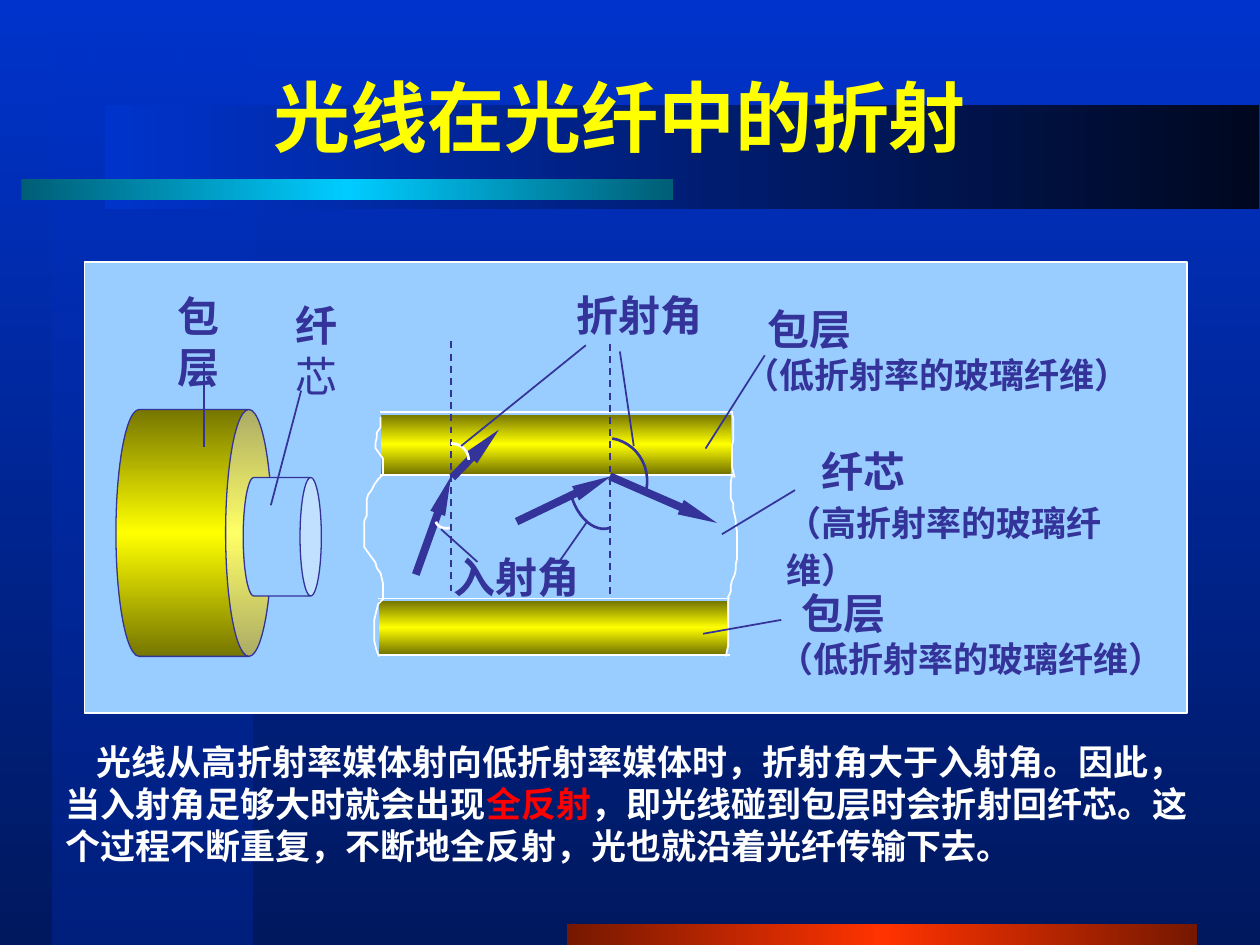
from lxml import etree
from pptx import Presentation, util as u
from pptx.dml.color import RGBColor
from pptx.enum import dml, shapes, text
from pptx.oxml.ns import qn

# ---- Content: places are in inches ----
INK, SKY, WHITE = "333399", "99CCFF", "FFFFFF"
CJK = "Noto Sans CJK SC"
TITLE = "光线在光纤中的折射"
GLASS = [(0, "767600"), (50, "FFFF00"), (100, "767600")]

BACKDROP = [(0, "0033CC"), (100, "00185E")]
BARS = [  # box, gradient stops (position, colour, opacity), angle
    ((0.42, 0, 1.58, 7.5), [(0, "0033CC", 50), (100, "00207E")], 90),
    ((4.5, 7.33, 5, 0.17), [(0, "761800"), (50, "FF3300"), (100, "761800")], 0),
    ((0.83, 0.83, 9.16, 0.83), [(0, "0033CC"), (100, "00081F")], 0),
    ((0.17, 1.42, 5.17, 0.17), [(0, "005E76"), (50, "00CCFF"), (100, "005E76")], 0),
]
PANEL = (0.67, 2.08, 8.75, 3.58)
CLADDINGS = [(3.02, 3.29, 2.78, 0.47), (3.01, 4.77, 2.76, 0.42)]
CLADDING_RIMS = [(3.02, 3.27, 5.82, 3.27), (3.02, 3.77, 5.82, 3.77),
                 (3, 4.75, 5.79, 4.75), (3, 5.2, 5.79, 5.2)]
NORMALS = [(3.58, 2.71, 3.58, 4.73), (4.84, 2.73, 4.84, 4.75)]
RAYS = [(3.59, 3.79, 3.96, 3.41), (3.3, 4.56, 3.58, 3.78),
        (4.1, 4.14, 4.85, 3.78), (4.84, 3.78, 5.69, 4.15)]
LEADERS = [(4.92, 2.79, 5.03, 3.54), (3.66, 3.54, 4.65, 2.74),
           (3.5, 4.2, 3.79, 4.46), (4.43, 4.47, 4.66, 4.14),
           (5.73, 4.24, 6.31, 3.89), (6.07, 2.82, 5.6, 3.56),
           (6.2, 4.92, 5.58, 5.03), (1.62, 2.87, 1.62, 3.55),
           (2.39, 3.1, 2.15, 4.01)]
ANGLE_ARCS = [  # four Bezier points, colour
    ([(3.57, 4.19), (3.52, 4.2), (3.47, 4.18), (3.46, 4.14)], WHITE),
    ([(3.58, 3.52), (3.66, 3.52), (3.72, 3.58), (3.72, 3.65)], WHITE),
    ([(4.84, 4.19), (4.72, 4.23), (4.58, 4.11), (4.53, 3.92)], INK),
    ([(4.86, 3.48), (5.04, 3.51), (5.17, 3.69), (5.13, 3.89)], INK),
]
BROKEN_EDGES = [  # top, bottom, x at equal steps downwards
    (3.31, 5.21, [3.02, 3.02, 3.02, 2.99, 2.99, 2.98, 2.98, 3.01, 3.04, 3.04,
                  3.04, 3.04, 3, 2.97, 2.95, 2.92, 2.91, 2.91, 2.91, 2.91,
                  2.89, 2.89, 2.89, 2.89, 2.89, 2.89, 2.92, 2.95, 2.98, 2.99,
                  3.02, 3.03, 3.04, 3.04, 3.04, 3.04, 3, 2.99, 2.98, 2.97,
                  2.97, 2.97, 2.97, 2.97, 2.98, 2.99, 3.01]),
    (3.28, 3.79, [5.81, 5.82, 5.82, 5.82, 5.82, 5.82, 5.81, 5.81, 5.81, 5.81,
                  5.81, 5.82, 5.83]),
    (3.78, 4.74, [5.81, 5.8, 5.8, 5.8, 5.8, 5.82, 5.82, 5.83, 5.84, 5.84, 5.85,
                  5.85, 5.85, 5.85, 5.85, 5.85, 5.84, 5.84, 5.83, 5.81, 5.8,
                  5.8, 5.78]),
    (4.73, 5.21, [5.78] * 10 + [5.77, 5.76]),
]
CYLINDERS = [((0.56, 3.61, 1.96, 1.24), 0.298, GLASS),
             ((1.77, 3.95, 0.94, 0.62), 0.273, SKY)]

LOW_INDEX = ("（低折射率的玻璃纤维）", {"size": 20})
HIGH_INDEX = ("（高折射率的玻璃纤维）", {"size": 20})
LABELS = [  # box, paragraphs of runs, wrap, first-line indents, line pitches
    ((4.48, 2.25, 1.2, 0.5), [["折射角"]], False, {}, {}),
    ((3.5, 4.33, 1.5, 0.5), [["入射角"]], True, {}, {}),
    ((5.81, 2.36, 3.26, 0.84), [["包层"], [LOW_INDEX]], False, {0: 0.18}, {}),
    ((6.08, 4.61, 3.26, 0.84), [["包层"], [LOW_INDEX]], False, {0: 0.18}, {}),
    ((6.14, 3.49, 3.19, 1.24), [["纤芯"], [HIGH_INDEX]], True, {0: 0.28}, {1: 27}),
    ((1.31, 2.26, 0.86, 0.5), [["包层"]], False, {}, {}),
    ((2.25, 2.33, 0.66, 0.9), [["纤", ("芯", {"bold": False})]], True, {}, {}),
]
SUMMARY_BOX = (0.42, 5.83, 9.25, 1.1)
SUMMARY = [["光线从高折射率媒体射向低折射率媒体时，折射角大于入射角。因此，当入射角足够大时就会出现",
            ("全反射", {"color": "FF0000"}),
            "，即光线碰到包层时会折射回纤芯。这个过程不断重复，不断地全反射，光也就沿着光纤传输下去。"]]


# ---- Helpers ----
def inch(value):
    return u.Cm(value * 2.54)


def rgb(value):
    return RGBColor.from_string(value)


def set_gradient(fill, owner, stops, angle):
    fill.gradient()
    grad = owner.find(".//" + qn("a:gradFill"))
    grad.set("rotWithShape", "0")
    grad.find(qn("a:lin")).set("ang", str(angle * 60000))
    stop_list = grad.find(qn("a:gsLst"))
    for old in list(stop_list):
        stop_list.remove(old)
    for position, color, *opacity in stops:
        stop = etree.SubElement(stop_list, qn("a:gs"), pos=str(position * 1000))
        tint = etree.SubElement(stop, qn("a:srgbClr"), val=color)
        for percent in opacity:
            etree.SubElement(tint, qn("a:alpha"), val=str(percent * 1000))


def set_line(line, color, width):
    line.color.rgb = rgb(color)
    line.width = u.Pt(width)


def add_block(parent, kind, box, fill, angle=0, line=None):
    block = parent.add_shape(kind, *map(inch, box))
    block.shadow.inherit = False
    if isinstance(fill, str):
        block.fill.solid()
        block.fill.fore_color.rgb = rgb(fill)
    else:
        set_gradient(block.fill, block._element, fill, angle)
    if line:
        set_line(block.line, *line)
    else:
        block.line.fill.background()
    return block


def add_line(parent, ends, color, width=1, dashed=False, arrow=False):
    link = parent.add_connector(shapes.MSO_CONNECTOR.STRAIGHT, *map(inch, ends))
    set_line(link.line, color, width)
    if dashed:
        link.line.dash_style = dml.MSO_LINE.DASH
    if arrow:
        etree.SubElement(link.line._get_or_add_ln(), qn("a:tailEnd"),
                         type="triangle", w="sm", len="lg")
    etree.SubElement(link._element.spPr, qn("a:effectLst"))


def add_curve(parent, points, color, width):
    points = [(inch(x), inch(y)) for x, y in points]
    builder = parent.build_freeform(*points[0])
    builder.add_line_segments(points[1:], close=False)
    curve = builder.convert_to_shape()
    curve.shadow.inherit = False
    curve.fill.background()
    set_line(curve.line, color, width)


def bezier(a, b, c, d, steps=12):
    for t in (i / steps for i in range(steps + 1)):
        s = 1 - t
        yield tuple(s**3 * p + 3 * s * s * t * q + 3 * s * t * t * r + t**3 * e
                    for p, q, r, e in zip(a, b, c, d))


def write(frame, paragraphs, size=24, font="Arial", color=INK, bold=True,
          align=None, indents={}, pitches={}):
    for i, runs in enumerate(paragraphs):
        para = frame.paragraphs[0] if i == 0 else frame.add_paragraph()
        para.alignment = align
        if i in indents:
            para._p.get_or_add_pPr().set("indent", str(inch(indents[i])))
        if i in pitches:
            para.line_spacing = u.Pt(pitches[i])
        for item in runs:
            words, own = (item, {}) if isinstance(item, str) else item
            run = para.add_run()
            run.text = words
            run.font.size = u.Pt(own.get("size", size))
            run.font.bold = own.get("bold", bold)
            run.font.color.rgb = rgb(own.get("color", color))
            run.font.name = font
            etree.SubElement(run._r.get_or_add_rPr(), qn("a:ea"), typeface=font)


def add_text(parent, box, paragraphs, wrap=True, **style):
    frame = parent.add_textbox(*map(inch, box)).text_frame
    frame.word_wrap = wrap
    frame.auto_size = text.MSO_AUTO_SIZE.SHAPE_TO_FIT_TEXT
    write(frame, paragraphs, **style)


def main():
    prs = Presentation()
    prs.slide_width, prs.slide_height = inch(10), inch(7.5)
    slide = prs.slides.add_slide(prs.slide_layouts[5])
    rect = shapes.MSO_SHAPE.RECTANGLE

    # Backdrop and bars, with the title above them
    set_gradient(slide.background.fill, slide._element, BACKDROP, 90)
    for box, stops, angle in BARS:
        add_block(slide.shapes, rect, box, stops, angle)
    title = slide.shapes.title
    slide.shapes._spTree.append(title._element)
    title.left, title.top, title.width, title.height = map(inch, (0.75, 0.42, 8.5, 1))
    title.text_frame.vertical_anchor = text.MSO_ANCHOR.MIDDLE
    title.text_frame.margin_right = inch(0.26)
    write(title.text_frame, [[TITLE]], size=44, font=CJK, color="FFFF01",
          align=text.PP_ALIGN.CENTER)

    # Fibre in section
    diagram = slide.shapes.add_group_shape().shapes
    add_block(diagram, rect, PANEL, SKY, line=(WHITE, 1))
    for ends in CLADDING_RIMS:
        add_line(diagram, ends, WHITE)
    for box in CLADDINGS:
        add_block(diagram, rect, box, GLASS, 90)
    for top, bottom, xs in BROKEN_EDGES:
        step = (bottom - top) / (len(xs) - 1)
        add_curve(diagram, [(x, top + i * step) for i, x in enumerate(xs)], WHITE, 1)

    # Fibre end: cladding and core cylinders
    for box, lid, fill in CYLINDERS:
        can = add_block(diagram, shapes.MSO_SHAPE.CAN, box, fill, 270, (INK, 0.75))
        can.adjustments[0] = lid
        can.rotation = 90

    # Light rays, angles and labels
    for ends in NORMALS:
        add_line(diagram, ends, INK, dashed=True)
    for ends in RAYS:
        add_line(diagram, ends, INK, 4.5, arrow=True)
    for controls, color in ANGLE_ARCS:
        add_curve(diagram, bezier(*controls), color, 1.5)
    for ends in LEADERS:
        add_line(diagram, ends, INK)
    for box, paragraphs, wrap, indents, pitches in LABELS:
        add_text(diagram, box, paragraphs, wrap, indents=indents, pitches=pitches)

    # Summary
    add_text(slide.shapes, SUMMARY_BOX, SUMMARY, size=20, font=CJK, color=WHITE,
             indents={0: 0.25}, pitches={0: 24})
    prs.save("out.pptx")


if __name__ == "__main__":
    main()
